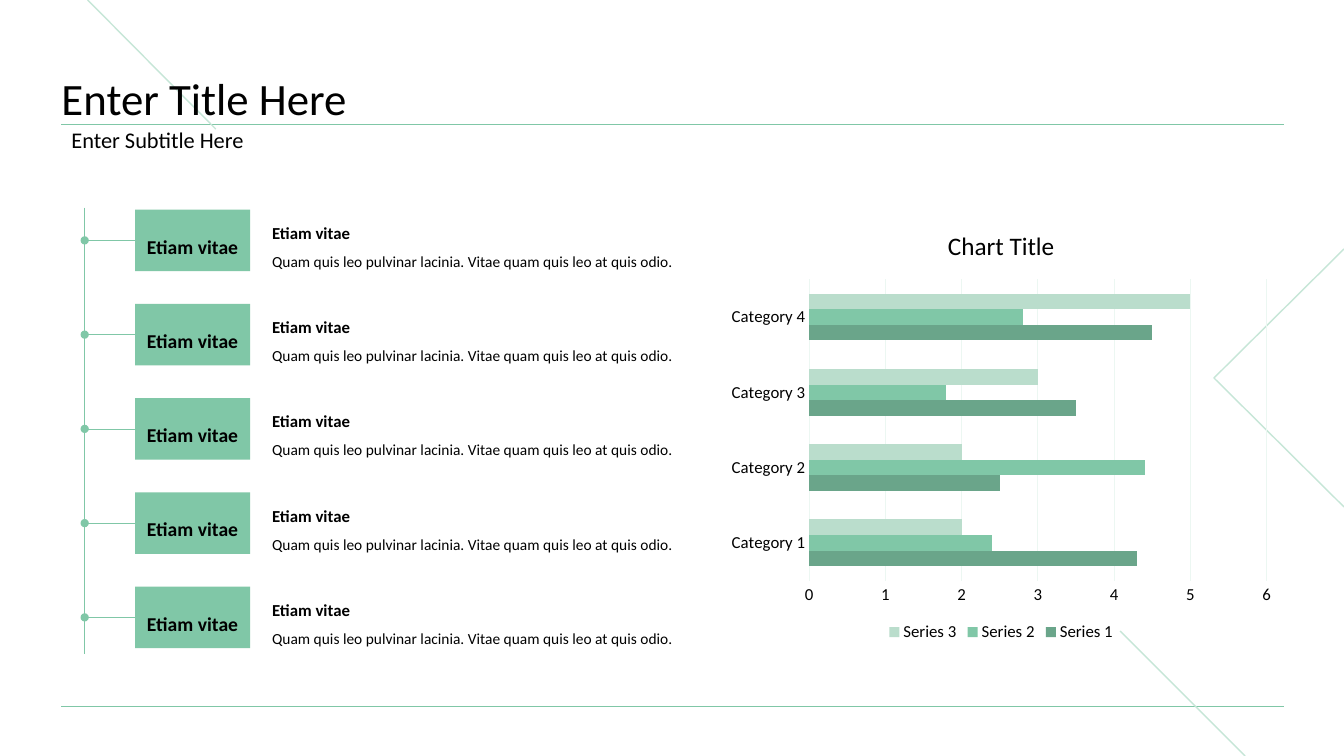
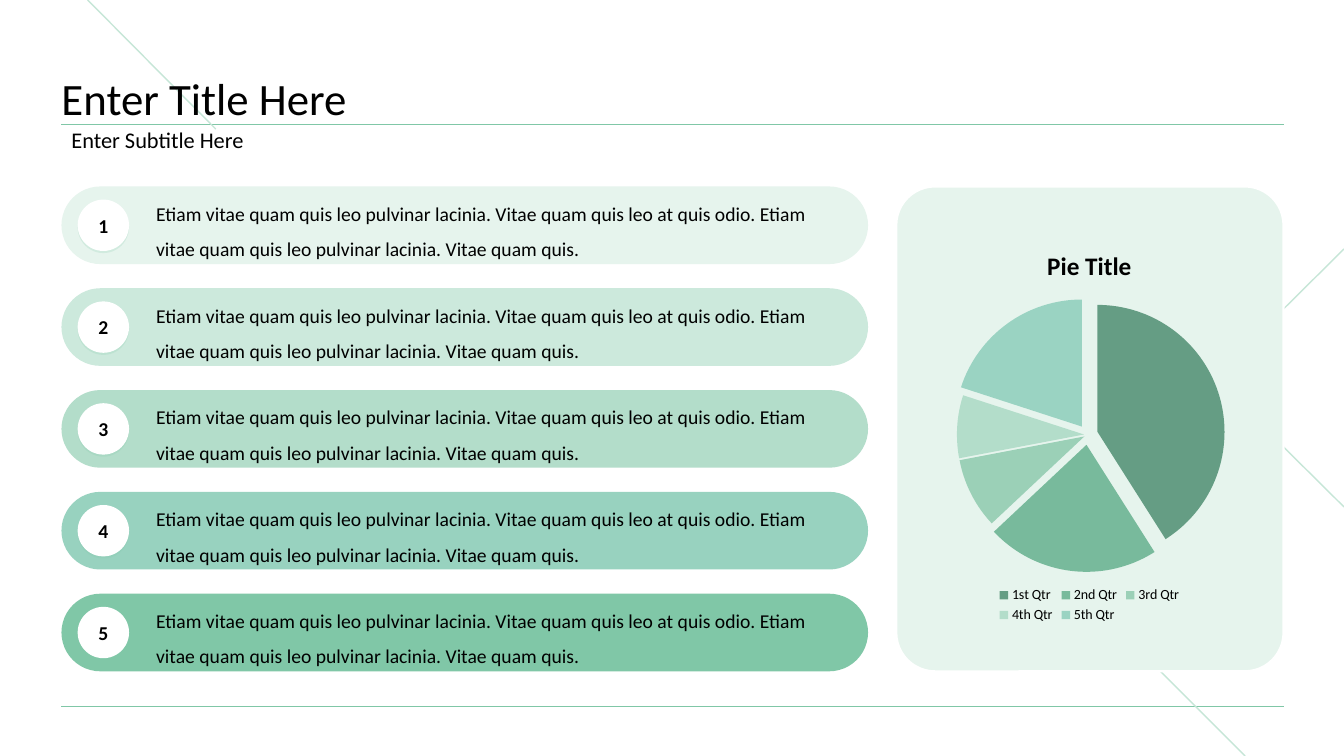
from dataclasses import dataclass
from lxml.etree import SubElement
from pptx import Presentation
from pptx.chart.data import CategoryChartData
from pptx.dml.color import RGBColor
from pptx.enum.chart import XL_CHART_TYPE as ChartType, XL_LEGEND_POSITION as LegendPosition
from pptx.enum.chart import XL_TICK_MARK as TickMark
from pptx.enum.shapes import MSO_CONNECTOR as Connector, MSO_SHAPE as Shape
from pptx.enum.text import MSO_ANCHOR as Anchor, PP_ALIGN as Align
from pptx.oxml import parse_xml
from pptx.oxml.ns import nsdecls, qn
from pptx.util import Inches, Pt


@dataclass(frozen=True)
class Theme:
    font: str = "Calibri"
    text: str = "000000"
    white: str = "FFFFFF"
    accent: str = "80C7A7"
    decoration: str = "C6E6D7"
    panel: str = "E6F4ED"
    grid: str = "ECF7F2"
    bars: tuple = ("6AA58A", "80C7A7", "BADDCC")
    bands: tuple = ("E6F4ED", "CCE9DC", "B3DDCA", "98D2BF", "80C7A7")
    slices: tuple = ("659D84", "78BA9C", "9BD0B7", "B3DDCA", "9AD3C2")
    title: int = 32
    chart_title: int = 18
    subtitle: int = 16
    body: int = 14
    label: int = 12
    detail: int = 11
    small: int = 10


WIDTH, HEIGHT = 13.33, 7.5
LEFT, RIGHT = 0.61, 12.73
ROWS = 5


class SlideBuilder:
    def __init__(self, theme):
        self.theme = theme
        self.deck = Presentation()
        self.deck.slide_width = Inches(WIDTH)
        self.deck.slide_height = Inches(HEIGHT)
        self.page = None

    def new_page(self, title, subtitle):
        theme = self.theme
        self.page = self.deck.slides.add_slide(self.deck.slide_layouts[6])
        for y in (7.01, 1.23):
            self.line(LEFT, y, RIGHT, y)
        self.line(11.11, 6.26, 12.35, HEIGHT, theme.decoration, 1)
        self.line(0.87, 0, 2.14, 1.28, theme.decoration, 1)
        self.chevron()
        self.text(LEFT, 0.44, RIGHT - LEFT, 0.8, [(title, theme.title, False)],
                  spacing=0.9, anchor=Anchor.BOTTOM, insets=(0, 0, 0, 0))
        self.text(LEFT, 1.23, RIGHT - LEFT, 0.34, [(subtitle, theme.subtitle, False)],
                  spacing=0.9, anchor=Anchor.MIDDLE)

    def style_font(self, font, size, bold=False):
        font.name = self.theme.font
        font.size = Pt(size)
        font.bold = bold
        font.color.rgb = RGBColor.from_string(self.theme.text)

    def paint(self, shape, fill=None, line=None, width=1):
        shape.shadow.inherit = False
        if fill:
            shape.fill.solid()
            shape.fill.fore_color.rgb = RGBColor.from_string(fill)
        else:
            shape.fill.background()
        if line:
            shape.line.color.rgb = RGBColor.from_string(line)
            shape.line.width = Pt(width)
        else:
            shape.line.fill.background()

    def line(self, x1, y1, x2, y2, color=None, width=0.5, start=None, dot=False):
        line = self.page.shapes.add_connector(
            Connector.STRAIGHT, Inches(x1), Inches(y1), Inches(x2), Inches(y2))
        if start is not None:
            line.begin_connect(start, 1)
        line.line.color.rgb = RGBColor.from_string(color or self.theme.accent)
        line.line.width = Pt(width)
        if dot:
            SubElement(line.line._get_or_add_ln(), qn("a:tailEnd"), type="oval")
        SubElement(line._element.spPr, qn("a:effectLst"))

    def chevron(self):
        builder = self.page.shapes.build_freeform(Inches(WIDTH), Inches(2.47))
        builder.add_line_segments(
            [(Inches(12.04), Inches(3.75)), (Inches(WIDTH), Inches(5.03))], close=False)
        self.paint(builder.convert_to_shape(), line=self.theme.decoration)

    def fill_text(self, shape, rows, spacing, anchor, align=Align.LEFT,
                  insets=(0.1, 0.05, 0.1, 0.05)):
        frame = shape.text_frame
        frame.word_wrap = True
        frame.vertical_anchor = anchor
        (frame.margin_left, frame.margin_top,
         frame.margin_right, frame.margin_bottom) = map(Inches, insets)
        frame.text = "\n".join(words for words, _, _ in rows)
        for para, (_, size, bold) in zip(frame.paragraphs, rows):
            para.alignment = align
            para.line_spacing = spacing
            for span in para.runs:
                self.style_font(span.font, size, bold)

    def text(self, x, y, width, height, rows, spacing=1.5, anchor=Anchor.TOP, **options):
        box = self.page.shapes.add_textbox(*map(Inches, (x, y, width, height)))
        self.fill_text(box, rows, spacing, anchor, **options)

    def shape(self, kind, x, y, width, height, fill, line=None, line_width=1, corner=None):
        shape = self.page.shapes.add_shape(kind, *map(Inches, (x, y, width, height)))
        if corner is not None:
            shape.adjustments[0] = corner
        self.paint(shape, fill, line, line_width)
        return shape

    def label(self, kind, x, y, width, height, fill, words, spacing=1.0):
        shape = self.shape(kind, x, y, width, height, fill)
        self.fill_text(shape, [(words, self.theme.body, True)], spacing, Anchor.MIDDLE,
                       Align.CENTER, (0.1, 0.1, 0.1, 0.1))
        return shape

    def badge(self, x, y, size, words):
        badge = self.label(Shape.OVAL, x, y, size, size, self.theme.white, words)
        effects = badge._element.spPr.find(qn("a:effectLst"))
        effects.append(parse_xml(
            f'<a:outerShdw {nsdecls("a")} blurRad="0" dist="{Pt(1.5)}" dir="5400000">'
            f'<a:srgbClr val="{self.theme.accent}"><a:alpha val="20000"/></a:srgbClr>'
            '</a:outerShdw>'))

    def chart(self, kind, place, categories, series, title, bold, legend_size, layout):
        data = CategoryChartData()
        data.categories = categories
        for name, values in series:
            data.add_series(name, values)
        chart = self.page.shapes.add_chart(kind, *map(Inches, place), data).chart
        self.style_font(chart.font, self.theme.small)
        chart.has_title = True
        chart.chart_title.include_in_layout = False
        frame = chart.chart_title.text_frame
        frame.text = title
        self.style_font(frame.paragraphs[0].runs[0].font, self.theme.chart_title, bold)
        chart.has_legend = True
        chart.legend.position = LegendPosition.BOTTOM
        chart.legend.include_in_layout = False
        self.style_font(chart.legend.font, legend_size)
        self.place_plot(chart, layout)
        return chart

    def place_plot(self, chart, layout):
        area = chart._chartSpace.chart.plotArea
        for old in area.findall(qn("c:layout")):
            area.remove(old)
        sizes = "".join(f'<c:{key} val="{value}"/>' for key, value in zip("xywh", layout))
        area.insert(0, parse_xml(
            f'<c:layout {nsdecls("c")}><c:manualLayout><c:layoutTarget val="inner"/>'
            f'<c:xMode val="edge"/><c:yMode val="edge"/>{sizes}'
            '</c:manualLayout></c:layout>'))

    def bar_chart(self, place, categories, series, title, layout):
        theme = self.theme
        chart = self.chart(ChartType.BAR_CLUSTERED, place, categories, series, title,
                           False, theme.label, layout)
        plot = chart.plots[0]
        plot.gap_width = 182
        plot.overlap = 0
        plot.vary_by_categories = False
        for bars, color in zip(plot.series, theme.bars):
            bars.format.fill.solid()
            bars.format.fill.fore_color.rgb = RGBColor.from_string(color)
        for axis in (chart.category_axis, chart.value_axis):
            axis.major_tick_mark = axis.minor_tick_mark = TickMark.NONE
            self.style_font(axis.tick_labels.font, theme.label)
        scale = chart.value_axis
        scale.minimum_scale, scale.maximum_scale, scale.major_unit = 0, 6, 1
        scale.format.line.fill.background()
        scale.has_major_gridlines = True
        for line in (chart.category_axis.format.line, scale.major_gridlines.format.line):
            line.color.rgb = RGBColor.from_string(theme.grid)
            line.width = Pt(0.75)

    def pie_chart(self, place, categories, series, title, layout, offsets):
        chart = self.chart(ChartType.PIE, place, categories, series, title,
                           True, self.theme.small, layout)
        plot = chart.plots[0]
        plot.vary_by_categories = True
        pie = plot.series[0]
        for index, color in enumerate(self.theme.slices):
            fill = pie.points[index].format.fill
            fill.solid()
            fill.fore_color.rgb = RGBColor.from_string(color)
        for point, offset in zip(pie._element.findall(qn("c:dPt")), offsets):
            point.find(qn("c:spPr")).addprevious(
                parse_xml(f'<c:explosion {nsdecls("c")} val="{offset}"/>'))


def timeline_page(builder):
    theme = builder.theme
    builder.new_page("Enter Title Here", "Enter Subtitle Here")
    rail = 0.84
    builder.line(rail, 2.06, rail, 6.49, width=0.75)
    height, pitch = 0.61, 0.935
    for row in range(ROWS):
        top = 2.08 + row * pitch
        middle = top + height / 2
        card = builder.label(Shape.RECTANGLE, 1.34, top, 1.14, height, theme.accent,
                             "Etiam vitae", 1.5)
        builder.line(1.34, middle, rail, middle, start=card, dot=True)
        builder.text(2.6, top - 0.02, 4.22, 0.65, [
            ("Etiam vitae", theme.label, True),
            ("Quam quis leo pulvinar lacinia. Vitae quam quis leo at quis odio.",
             theme.detail, False)])
    builder.bar_chart(
        (7.13, 2.08, 5.6, 4.33),
        ["Category 1", "Category 2", "Category 3", "Category 4"],
        [("Series 1", (4.3, 2.5, 3.5, 4.5)),
         ("Series 2", (2.4, 4.4, 1.8, 2.8)),
         ("Series 3", (2, 2, 3, 5))],
        "Chart Title", (0.16, 0.16, 0.81, 0.69))


def numbered_page(builder):
    theme = builder.theme
    builder.new_page("Enter Title Here", "Enter Subtitle Here")
    height, pitch, badge = 0.77, 1.01, 0.51
    sentence = ("Etiam vitae quam quis leo pulvinar lacinia. Vitae quam quis leo at quis odio. "
                "Etiam vitae quam quis leo pulvinar lacinia. Vitae quam quis.")
    for row, color in enumerate(theme.bands):
        top = 1.85 + row * pitch
        builder.shape(Shape.ROUNDED_RECTANGLE, LEFT, top, 8, height, color, corner=0.5)
        builder.badge(0.77, top + (height - badge) / 2, badge, str(row + 1))
        builder.text(1.45, top, 6.88, height, [(sentence, theme.body, False)],
                     anchor=Anchor.MIDDLE)
    builder.shape(Shape.ROUNDED_RECTANGLE, 8.89, 1.85, 3.84, 4.81, theme.panel,
                  theme.white, 1.5, 0.1)
    builder.pie_chart(
        (9.21, 2.29, 3.19, 3.93),
        ["1st Qtr", "2nd Qtr", "3rd Qtr", "4th Qtr", "5th Qtr"],
        [("Series 1", (41, 22, 9, 8, 20))],
        "Pie Title", (0.1, 0.19, 0.79, 0.65), (8, 8, 3, 3, 8))


def main():
    builder = SlideBuilder(Theme())
    timeline_page(builder)
    numbered_page(builder)
    builder.deck.save("out.pptx")


if __name__ == "__main__":
    main()
